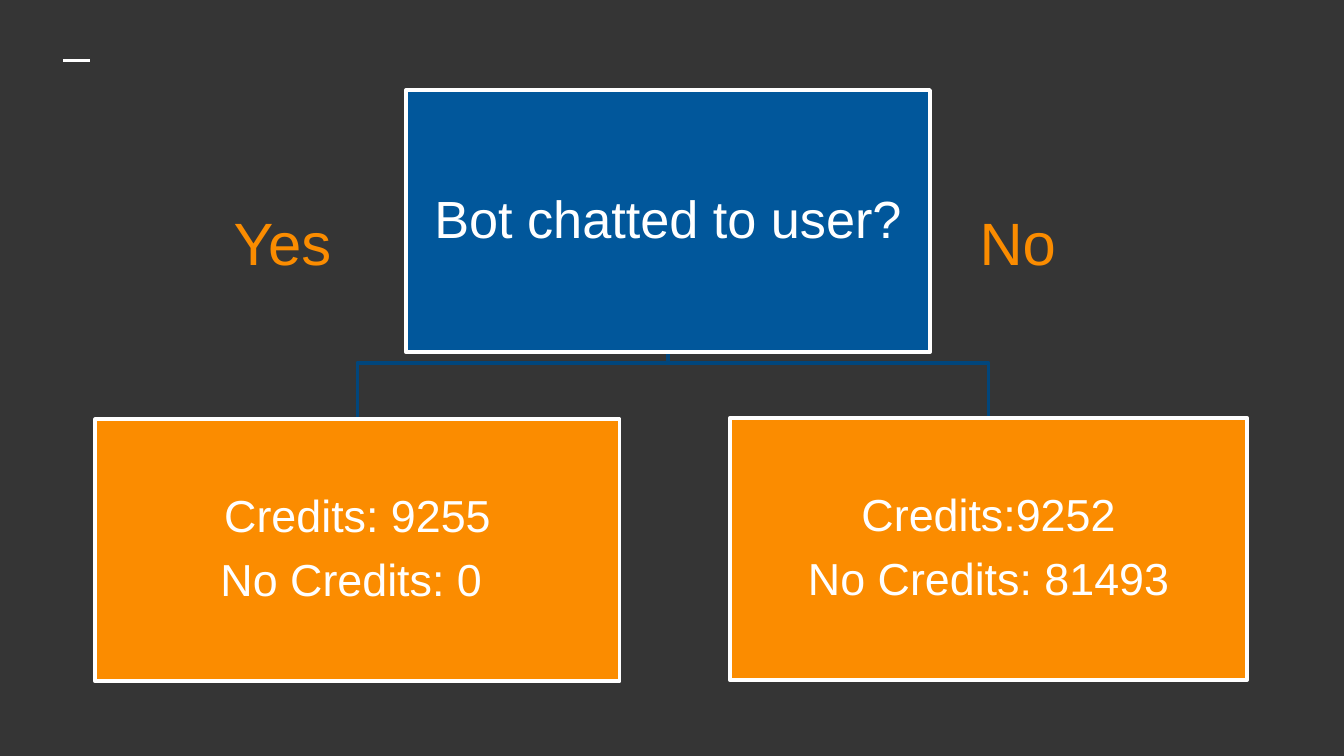
from pptx import Presentation
from pptx.dml.color import RGBColor
from pptx.enum.shapes import MSO_CONNECTOR, MSO_SHAPE
from pptx.enum.text import MSO_ANCHOR, MSO_AUTO_SIZE, PP_ALIGN
from pptx.oxml.ns import qn
from pptx.util import Inches, Pt
from lxml.etree import SubElement

BACKGROUND = RGBColor(0x35, 0x35, 0x35)
WHITE = RGBColor(0xFF, 0xFF, 0xFF)
BLUE = RGBColor(0x01, 0x57, 0x9B)
DARK_BLUE = RGBColor(0x01, 0x46, 0x7C)
ORANGE = RGBColor(0xFB, 0x8C, 0x00)
FONT = "Arial"
BOX_HEIGHT = 1.95

QUESTION = (["Bot chatted to user?"], 3.02, 0.67, 3.9, BLUE, 28)
ANSWERS = [
    (["Credits:9252", "No Credits: 81493"], 5.43, 3.11, 3.85, ORANGE, 24),
    (["Credits: 9255", "No Credits: 0 "], 0.71, 3.12, 3.9, ORANGE, 24),
]
LABELS = [("Yes", 1.64, 1.18), ("No", 7.19, 1.03)]


def format_runs(paragraph, size, color):
    for run in paragraph.runs:
        run.font.name = FONT
        run.font.size = Pt(size)
        run.font.color.rgb = color


def add_box(slide, lines, left, top, width, fill, size):
    box = slide.shapes.add_shape(
        MSO_SHAPE.RECTANGLE, Inches(left), Inches(top), Inches(width), Inches(BOX_HEIGHT))
    box.shadow.inherit = False
    box.fill.solid()
    box.fill.fore_color.rgb = fill
    box.line.color.rgb = WHITE
    box.line.width = Pt(2)
    frame = box.text_frame
    frame.word_wrap = True
    frame.vertical_anchor = MSO_ANCHOR.MIDDLE
    frame.margin_left = frame.margin_right = Inches(0.02)
    frame.margin_top = frame.margin_bottom = Inches(0.02)
    frame.text = "\n".join(lines)
    for paragraph in frame.paragraphs:
        paragraph.alignment = PP_ALIGN.CENTER
        paragraph.line_spacing = 0.9
        paragraph.space_after = Pt(size * 0.35)
        format_runs(paragraph, size, WHITE)


def add_branch(slide, parent, child):
    _, left, top, width, *_ = parent
    _, child_left, child_top, child_width, *_ = child
    start_x, start_y = left + width / 2, top + BOX_HEIGHT
    end_x, bend_y = child_left + child_width / 2, start_y + 0.08
    builder = slide.shapes.build_freeform(Inches(start_x), Inches(start_y))
    corners = [(start_x, bend_y), (end_x, bend_y), (end_x, child_top)]
    builder.add_line_segments([(Inches(x), Inches(y)) for x, y in corners], close=False)
    branch = builder.convert_to_shape()
    branch.shadow.inherit = False
    branch.fill.background()
    branch.line.color.rgb = DARK_BLUE
    branch.line.width = Pt(2)


def add_label(slide, text, left, width):
    label = slide.shapes.add_textbox(Inches(left), Inches(1.48), Inches(width), Inches(0.64))
    frame = label.text_frame
    frame.word_wrap = True
    frame.auto_size = MSO_AUTO_SIZE.SHAPE_TO_FIT_TEXT
    frame.text = text
    format_runs(frame.paragraphs[0], 32, ORANGE)


presentation = Presentation()
presentation.slide_width = Inches(10)
presentation.slide_height = presentation.slide_width * 9 // 16
slide = presentation.slides.add_slide(presentation.slide_layouts[6])
slide.background.fill.solid()
slide.background.fill.fore_color.rgb = BACKGROUND

dash = slide.shapes.add_connector(
    MSO_CONNECTOR.STRAIGHT, Inches(0.47), Inches(0.45), Inches(0.67), Inches(0.45))
dash.line.color.rgb = WHITE
dash.line.width = Pt(1.5)
SubElement(dash._element.spPr, qn("a:effectLst"))

for answer in ANSWERS:
    add_branch(slide, QUESTION, answer)
for box in [QUESTION, *reversed(ANSWERS)]:
    add_box(slide, *box)
for label in LABELS:
    add_label(slide, *label)

presentation.save("out.pptx")
